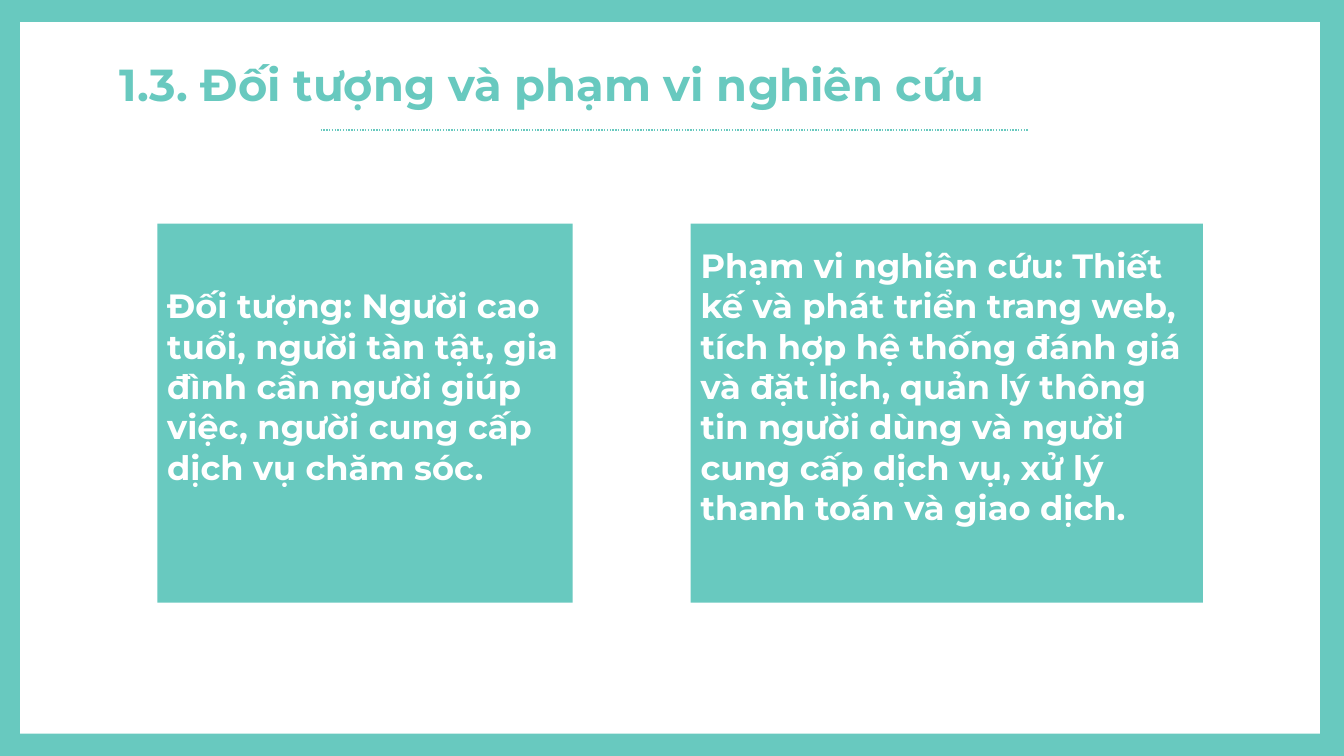
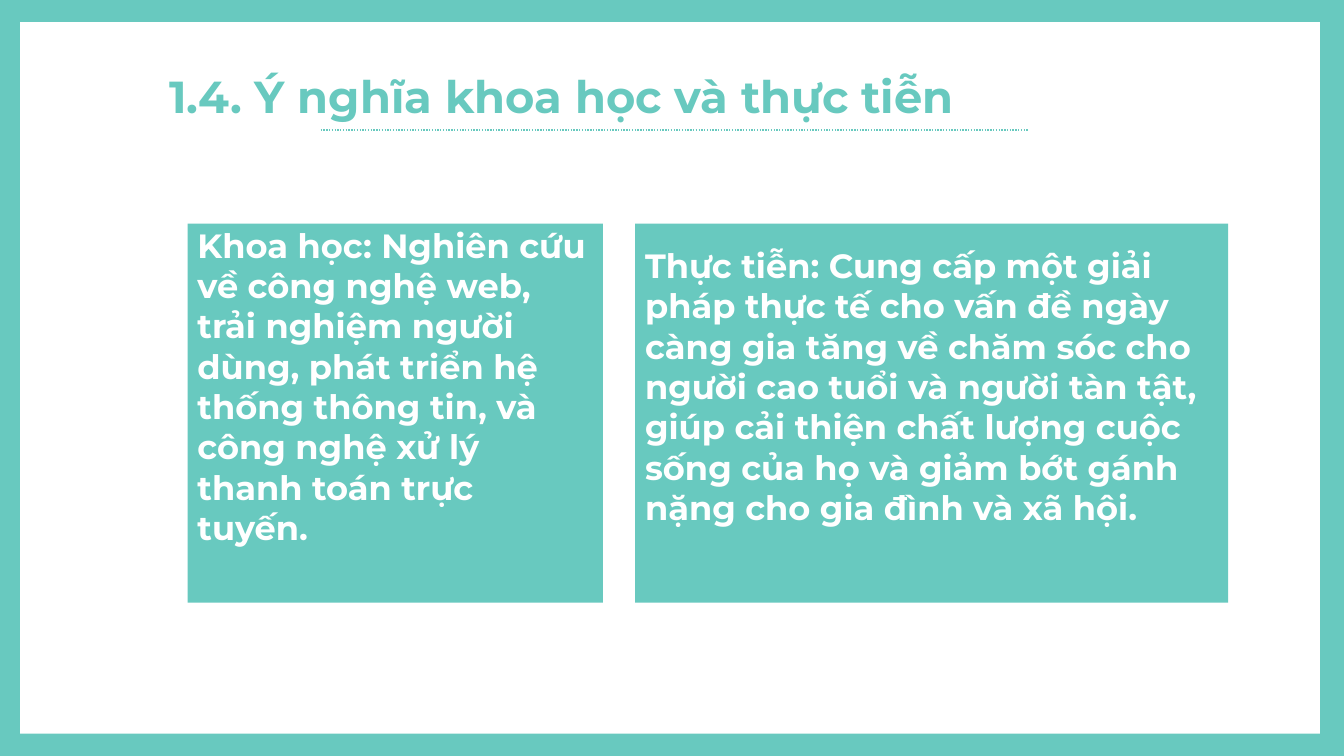
from dataclasses import dataclass

from pptx import Presentation
from pptx.dml.color import RGBColor
from pptx.enum.dml import MSO_LINE
from pptx.enum.shapes import MSO_CONNECTOR, MSO_SHAPE
from pptx.enum.text import MSO_ANCHOR, PP_ALIGN
from pptx.oxml.ns import qn
from pptx.util import Inches, Pt
from lxml.etree import SubElement

WIDTH, HEIGHT = 13.33, 7.5
CARD_TOP, CARD_HEIGHT = 2.22, 3.76
RULE_LEFT, RULE_RIGHT, RULE_Y = 3.18, 10.2, 1.29


@dataclass(frozen=True)
class Theme:
    teal: RGBColor = RGBColor(0x68, 0xC9, 0xBF)
    white: RGBColor = RGBColor(0xFF, 0xFF, 0xFF)
    font: str = "Montserrat"
    title_size: int = 32
    card_size: int = 24


class Deck:
    def __init__(self, theme):
        self.theme = theme
        self.presentation = Presentation()
        self.presentation.slide_width = Inches(WIDTH)
        self.presentation.slide_height = Inches(HEIGHT)
        self.slide = None

    def add_slide(self):
        """Start a slide with the teal frame and the dotted title rule."""
        blank = self.presentation.slide_layouts[6]
        self.slide = self.presentation.slides.add_slide(blank)
        self.rectangle(0, 0, WIDTH, HEIGHT, self.theme.teal)
        self.rectangle(0.2, 0.22, 12.89, 7.06, self.theme.white)
        self.title_rule()

    def rectangle(self, left, top, width, height, color):
        panel = self.slide.shapes.add_shape(
            MSO_SHAPE.RECTANGLE,
            Inches(left), Inches(top), Inches(width), Inches(height))
        panel.shadow.inherit = False
        panel.fill.solid()
        panel.fill.fore_color.rgb = color
        panel.line.fill.background()
        return panel

    def title_rule(self):
        rule = self.slide.shapes.add_connector(
            MSO_CONNECTOR.STRAIGHT,
            Inches(RULE_LEFT), Inches(RULE_Y),
            Inches(RULE_RIGHT), Inches(RULE_Y))
        rule.line.color.rgb = self.theme.teal
        rule.line.width = Pt(1)
        rule.line.dash_style = MSO_LINE.ROUND_DOT
        SubElement(rule._element.spPr, qn("a:effectLst"))

    def set_text(self, frame, text, size, color):
        frame.word_wrap = True
        frame.vertical_anchor = MSO_ANCHOR.MIDDLE
        paragraph = frame.paragraphs[0]
        paragraph.text = text
        paragraph.alignment = PP_ALIGN.LEFT
        font = paragraph.font
        font.name = self.theme.font
        font.size = Pt(size)
        font.bold = True
        font.color.rgb = color

    def title(self, text, left, top, width):
        heading = self.slide.shapes.add_textbox(
            Inches(left), Inches(top), Inches(width), Inches(0.54))
        frame = heading.text_frame
        frame.margin_left = frame.margin_right = 0
        frame.margin_top = frame.margin_bottom = 0
        self.set_text(frame, text, self.theme.title_size, self.theme.teal)

    def card(self, text, left, width):
        """Add a teal card whose text sits a little above its middle."""
        card = self.rectangle(left, CARD_TOP, width, CARD_HEIGHT,
                              self.theme.teal)
        card.text_frame.margin_bottom = Inches(0.59)
        self.set_text(card.text_frame, text, self.theme.card_size,
                      self.theme.white)


SECTIONS = [
    {
        "title": ("1.3. Đối tượng và phạm vi nghiên cứu", 1.19, 0.56, 11),
        "cards": [
            ("Đối tượng: Người cao tuổi, người tàn tật, gia đình cần người "
             "giúp việc, người cung cấp dịch vụ chăm sóc.", 1.56, 4.12),
            ("Phạm vi nghiên cứu: Thiết kế và phát triển trang web, tích hợp "
             "hệ thống đánh giá và đặt lịch, quản lý thông tin người dùng và "
             "người cung cấp dịch vụ, xử lý thanh toán và giao dịch.",
             6.85, 5.08),
        ],
    },
    {
        "title": ("1.4. Ý nghĩa khoa học và thực tiễn", 1.68, 0.68, 9.94),
        "cards": [
            ("Khoa học: Nghiên cứu về công nghệ web, trải nghiệm người dùng, "
             "phát triển hệ thống thông tin, và công nghệ xử lý thanh toán "
             "trực tuyến.", 1.86, 4.12),
            ("Thực tiễn: Cung cấp một giải pháp thực tế cho vấn đề ngày càng "
             "gia tăng về chăm sóc cho người cao tuổi và người tàn tật, giúp "
             "cải thiện chất lượng cuộc sống của họ và giảm bớt gánh nặng "
             "cho gia đình và xã hội.", 6.3, 5.88),
        ],
    },
]


def main():
    deck = Deck(Theme())
    for section in SECTIONS:
        deck.add_slide()
        deck.title(*section["title"])
        for card in section["cards"]:
            deck.card(*card)
    deck.presentation.save("out.pptx")


if __name__ == "__main__":
    main()
